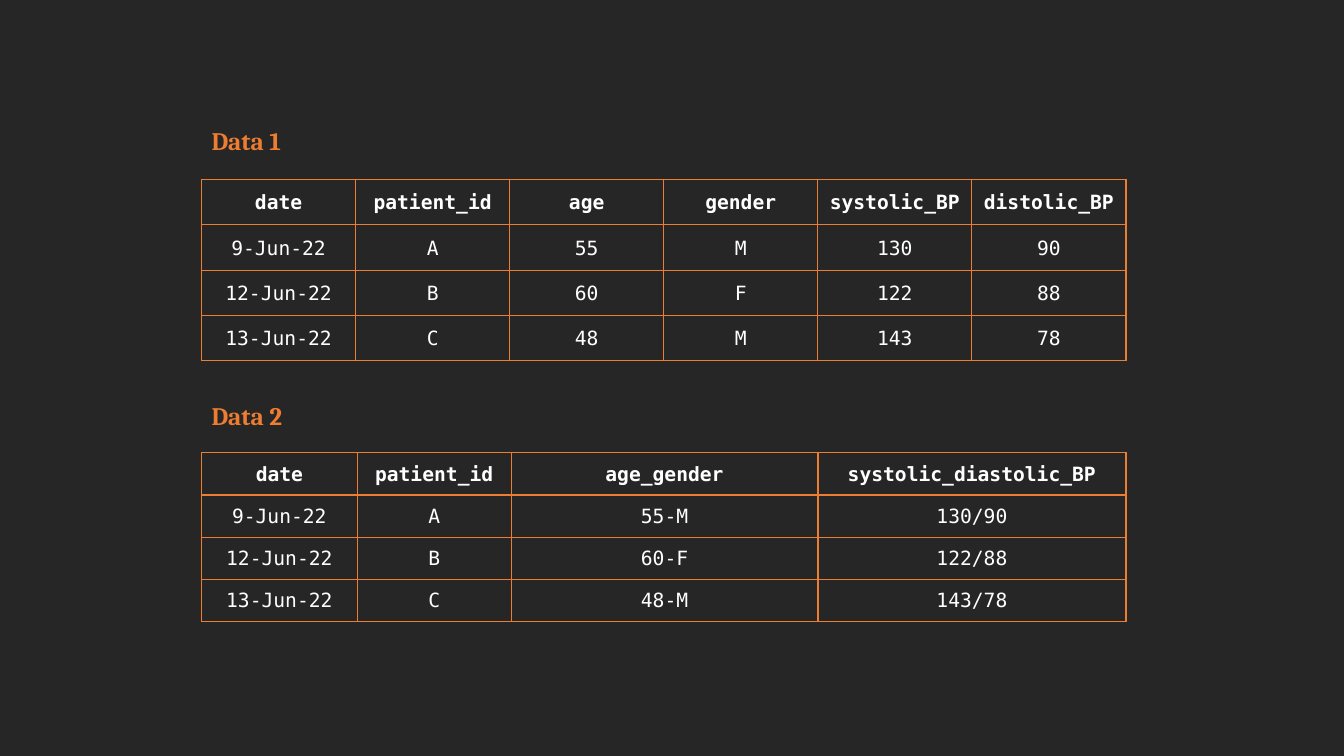
"""Two versions of a small patient table, one with split and one with combined columns."""
from dataclasses import dataclass

from lxml import etree
from pptx import Presentation
from pptx import util as u
from pptx.dml.color import RGBColor
from pptx.enum import text
from pptx.oxml.ns import qn

DARK = RGBColor(0x26, 0x26, 0x26)
ORANGE = RGBColor(0xED, 0x7D, 0x31)
WHITE = RGBColor(0xFF, 0xFF, 0xFF)
HEADING_FONT = "Cambria"
DATA_FONT = "DejaVu Sans Mono"

SLIDE_W, SLIDE_H = u.Inches(13.33), u.Inches(7.5)
LEFT = int(SLIDE_W * 0.15)
COL = u.Inches(9.17) // 6
HEADING_W, HEADING_H = u.Inches(0.95), u.Inches(0.4)


@dataclass(frozen=True)
class DataBlock:
    title: str
    title_top: float
    table_top: float
    row_height: float
    spans: tuple[float, ...]
    inset: float
    rows: tuple[str, ...]


BLOCKS = (
    DataBlock("Data 1", 1.19, 1.78, 0.45, (1,) * 6, 0.02, (
        "date patient_id age gender systolic_BP distolic_BP",
        "9-Jun-22 A 55 M 130 90",
        "12-Jun-22 B 60 F 122 88",
        "13-Jun-22 C 48 M 143 78",
    )),
    DataBlock("Data 2", 3.92, 4.49, 0.42, (1.01, 1, 1.99, 2), 0.01, (
        "date patient_id age_gender systolic_diastolic_BP",
        "9-Jun-22 A 55-M 130/90",
        "12-Jun-22 B 60-F 122/88",
        "13-Jun-22 C 48-M 143/78",
    )),
)


def write(tf, content: str, *, font: str, size: int, color: RGBColor,
          bold: bool = False, align=None) -> None:
    p = tf.paragraphs[0]
    p.alignment = align
    r = p.add_run()
    r.text = content
    r.font.name, r.font.size, r.font.bold = font, u.Pt(size), bold
    r.font.color.rgb = color


def add_borders(cell, color: RGBColor, width: int) -> None:
    props = cell._tc.get_or_add_tcPr()
    for i, side in enumerate(("lnL", "lnR", "lnT", "lnB")):
        ln = etree.Element(qn(f"a:{side}"), w=str(width))
        fill = etree.SubElement(ln, qn("a:solidFill"))
        etree.SubElement(fill, qn("a:srgbClr"), val=str(color))
        props.insert(i, ln)


def add_heading(s, block: DataBlock) -> None:
    sp = s.shapes.add_textbox(LEFT, u.Inches(block.title_top), HEADING_W, HEADING_H)
    tf = sp.text_frame
    tf.word_wrap = False
    tf.auto_size = text.MSO_AUTO_SIZE.SHAPE_TO_FIT_TEXT
    write(tf, block.title, font=HEADING_FONT, size=18, color=ORANGE, bold=True)


def add_data_table(s, block: DataBlock) -> None:
    row_h = u.Inches(block.row_height)
    n_rows, n_cols = len(block.rows), len(block.spans)
    table = s.shapes.add_table(n_rows, n_cols, LEFT, u.Inches(block.table_top),
                               6 * COL, n_rows * row_h).table
    table.first_row = table.horz_banding = False
    for column, span in zip(table.columns, block.spans):
        column.width = int(COL * span)
    for i, row in enumerate(block.rows):
        table.rows[i].height = row_h
        for j, value in enumerate(row.split()):
            cell = table.cell(i, j)
            cell.fill.background()
            cell.vertical_anchor = text.MSO_ANCHOR.MIDDLE
            cell.margin_left = cell.margin_right = cell.margin_top = u.Inches(block.inset)
            cell.margin_bottom = 0
            add_borders(cell, ORANGE, u.Pt(1))
            write(cell.text_frame, value, font=DATA_FONT, size=14, color=WHITE,
                  bold=i == 0, align=text.PP_ALIGN.CENTER)


def main() -> None:
    prs = Presentation()
    prs.slide_width, prs.slide_height = SLIDE_W, SLIDE_H
    s = prs.slides.add_slide(prs.slide_layouts[6])
    s.background.fill.solid()
    s.background.fill.fore_color.rgb = DARK
    for block in BLOCKS:
        add_heading(s, block)
        add_data_table(s, block)
    prs.save("out.pptx")


if __name__ == "__main__":
    main()
